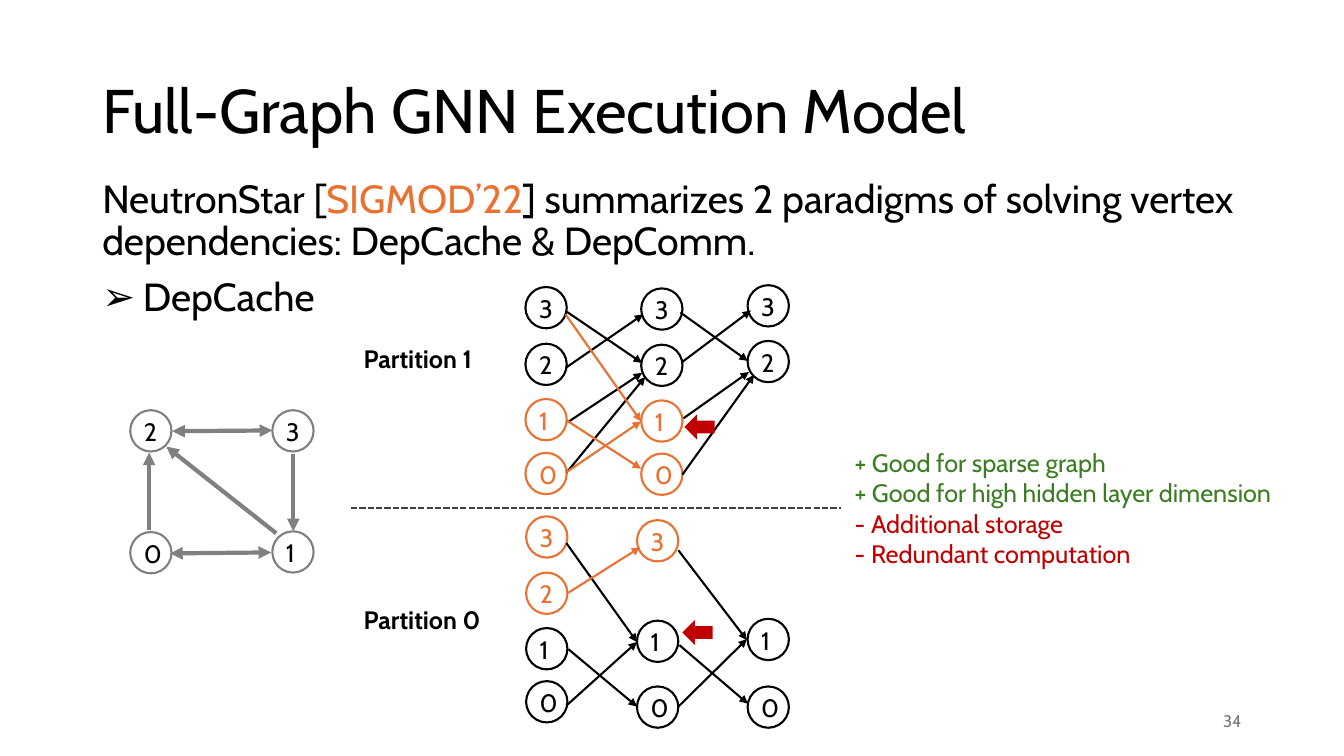
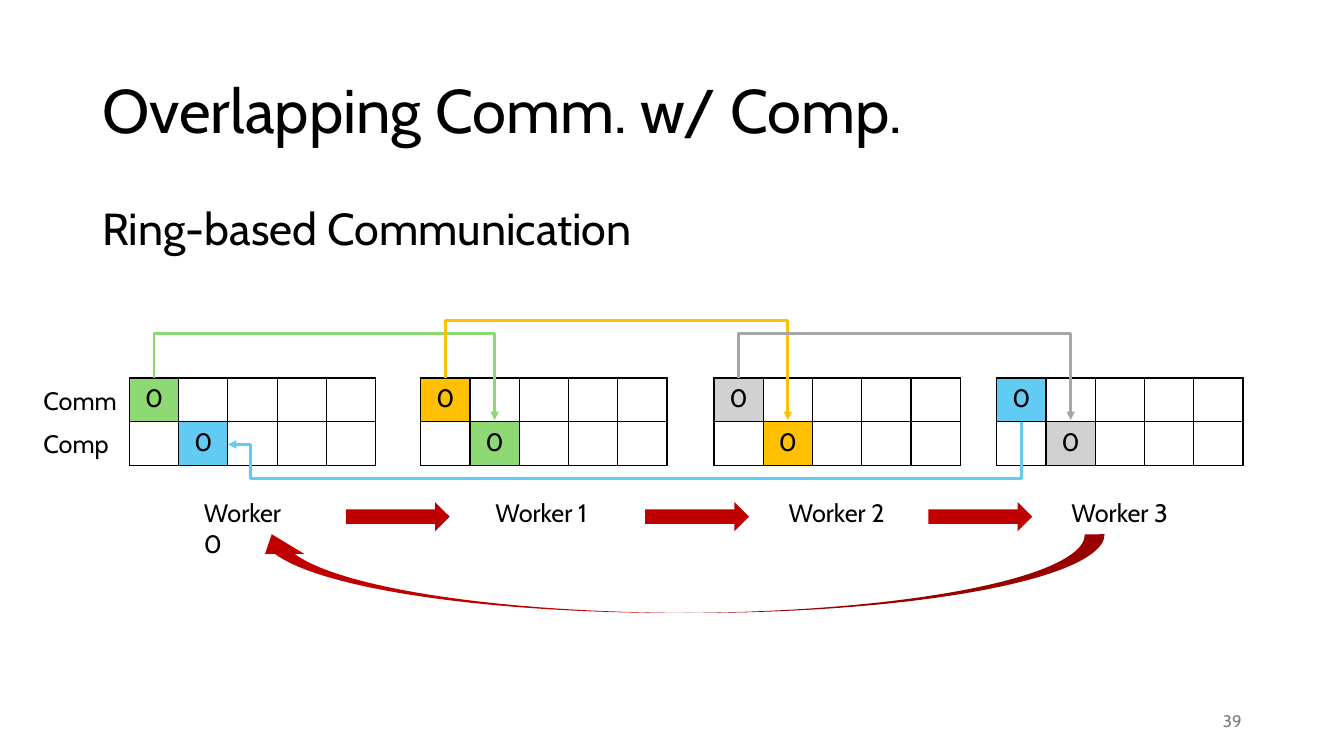
"""Build two slides on graph network execution and ring communication."""
from dataclasses import dataclass

from lxml import etree
from pptx import Presentation
from pptx.dml.color import RGBColor
from pptx.enum.dml import MSO_LINE
from pptx.enum.shapes import MSO_CONNECTOR, MSO_SHAPE
from pptx.enum.text import MSO_ANCHOR, PP_ALIGN
from pptx.oxml.ns import qn
from pptx.util import Pt

OVAL, BACK = MSO_SHAPE.OVAL, MSO_SHAPE.LEFT_ARROW
NEXT, CURVE = MSO_SHAPE.RIGHT_ARROW, MSO_SHAPE.CURVED_DOWN_ARROW
STRAIGHT, DASH = MSO_CONNECTOR.STRAIGHT, MSO_LINE.SQUARE_DOT
TOP, MIDDLE = MSO_ANCHOR.TOP, MSO_ANCHOR.MIDDLE
LEFT, MID, RIGHT = PP_ALIGN.LEFT, PP_ALIGN.CENTER, PP_ALIGN.RIGHT
FONT = "Cabin"
HEX = {
    "black": "000000", "orange": "E97132", "gray": "808080", "dark": "404040",
    "good": "3B7D23", "red": "C00000", "page": "797979", "green": "8ED973",
    "gold": "FFC000", "silver": "D1D1D1", "steel": "A6A6A6", "blue": "61CBF4",
}
SIDE, ROW, COL, GRID = 29.5, 31.3, 35.2, 270
COLS = 5


@dataclass
class Run:
    """A piece of text in one colour."""
    text: str
    color: str = "black"


@dataclass
class Stack:
    """A column of graph nodes."""
    x: float
    names: str
    tops: tuple
    hot: str = ""
    color: str = "black"


@dataclass
class Edge:
    """A set of arrows that look the same."""
    color: str
    width: float
    ends: tuple
    both: bool = False


@dataclass
class Worker:
    """A worker grid with its own and its received block."""
    x: float
    own: str
    got: str
    wire: str
    bus: float


STACKS = (
    Stack(93, "20", (293, 380), color="gray"),
    Stack(194.5, "31", (293, 379.5), color="gray"),
    Stack(375.3, "3210", (205, 245.5, 285, 323.5), "10"),
    Stack(458, "3210", (206, 246.2, 286, 324), "10"),
    Stack(534, "32", (203.7, 243.5)),
    Stack(375.8, "3210", (368.8, 409, 448.6, 486.5), "32"),
    Stack(455, "310", (371.5, 443.3, 490.3), "3"),
    Stack(534, "10", (442, 490.3)),
)
EDGES = (
    Edge("gray", 3, ((123, 308, 194.5, 307.5), (121.5, 395.3, 193.7, 394.6)), True),
    Edge("gray", 3, (
        (106.5, 378.7, 106.5, 323.3), (197.3, 380.9, 118.8, 319),
        (209.5, 324, 209.5, 379.5))),
    Edge("black", 1.5, (
        (404.6, 388, 455, 458.6), (406, 463.7, 455, 504.7),
        (405.4, 503.3, 455, 458.6), (484.6, 504.7, 533.5, 456.5),
        (485.3, 460.8, 534.2, 502.6), (484.6, 393.1, 533.5, 457.2),
        (404, 262.8, 459.4, 224.6), (404.6, 222.5, 458.6, 259.2),
        (486, 223.2, 534.2, 257.8), (487.4, 258.5, 536.4, 221.8),
        (405.4, 301.7, 458.6, 266.4), (404.6, 337.7, 460.8, 269.3),
        (488.2, 298.8, 535, 265.7), (487.4, 339.1, 538.6, 267.8))),
    Edge("orange", 1.5, (
        (406, 423.4, 457.2, 391), (404, 224.6, 457.9, 301),
        (404.6, 300.2, 457.9, 334.8), (404, 337.7, 457.9, 301))),
)
WORKERS = (
    Worker(92.4, "green", "blue", "green", 238.3),
    Worker(300.5, "gold", "green", "gold", 229),
    Worker(510, "silver", "gold", "steel", 238.3),
    Worker(712, "blue", "silver", "blue", 342),
)


def rgb(color: str) -> RGBColor:
    """Look up a colour by name."""
    return RGBColor.from_string(HEX[color])


def style(item, **values) -> None:
    """Set attributes from format values."""
    for key, value in values.items():
        setattr(item, key, value)


def write(frame, paras, size=18, bold=False, align=LEFT, lead=1.0, gap=0) -> None:
    """Fill a text frame with paragraphs of runs."""
    for num, runs in enumerate(paras):
        para = frame.paragraphs[0] if num == 0 else frame.add_paragraph()
        style(para, alignment=align, line_spacing=lead,
              space_before=Pt(gap if num else 0))
        for run in runs:
            part = para.add_run()
            part.text = run.text
            style(part.font, name=FONT, size=Pt(size), bold=bold)
            part.font.color.rgb = rgb(run.color)


def label(slide, box: tuple, paras, anchor=TOP, wrap=True, **look):
    """Add a text box and return its frame."""
    frame = slide.shapes.add_textbox(*map(Pt, box)).text_frame
    style(frame, word_wrap=wrap, vertical_anchor=anchor)
    write(frame, paras, **look)
    return frame


def bullet(para, mark: str, indent: float) -> None:
    """Give a paragraph a hanging bullet."""
    props = para._p.get_or_add_pPr()
    props.set("marL", str(Pt(indent)))
    props.set("indent", str(-Pt(indent)))
    etree.SubElement(props, qn("a:buFont")).set("typeface", "Arial")
    etree.SubElement(props, qn("a:buChar")).set("char", mark)


def tips(line, *names: str) -> None:
    """Put triangle tips on a line."""
    for name in names:
        etree.SubElement(line._get_or_add_ln(), qn(f"a:{name}")).set("type", "triangle")


def link(slide, ends: tuple, color: str, width: float):
    """Draw a straight line and return its format."""
    wire = slide.shapes.add_connector(STRAIGHT, *map(Pt, ends))
    wire.line.width = Pt(width)
    wire.line.color.rgb = rgb(color)
    etree.SubElement(wire._element.spPr, qn("a:effectLst"))
    return wire.line


def block(slide, kind, box: tuple, color: str = "red"):
    """Draw a filled shape with no outline."""
    shape = slide.shapes.add_shape(kind, *map(Pt, box))
    shape.shadow.inherit = False
    shape.fill.solid()
    shape.fill.fore_color.rgb = rgb(color)
    shape.line.fill.background()
    return shape


def node(slide, x: float, y: float, name: str, line: str, ink: str) -> None:
    """Draw a numbered ring."""
    ring = slide.shapes.add_shape(OVAL, *map(Pt, (x, y, SIDE, SIDE)))
    ring.shadow.inherit = False
    ring.fill.background()
    ring.line.width = Pt(1.5)
    ring.line.color.rgb = rgb(line)
    style(ring.text_frame, margin_left=Pt(5.4), margin_right=0, margin_top=0,
          margin_bottom=0, vertical_anchor=TOP, word_wrap=True)
    write(ring.text_frame, [[Run(name, ink)]])


def route(slide, points: list, color: str) -> None:
    """Draw a bent arrow through points."""
    spots = [(Pt(x), Pt(y)) for x, y in points]
    pen = slide.shapes.build_freeform(*spots[0])
    pen.add_line_segments(spots[1:], close=False)
    wire = pen.convert_to_shape()
    wire.shadow.inherit = False
    wire.fill.background()
    wire.line.width = Pt(2)
    wire.line.color.rgb = rgb(color)
    tips(wire.line, "tailEnd")


def border(cell) -> None:
    """Outline a cell in black."""
    props = cell._tc.get_or_add_tcPr()
    for num, side in enumerate(("lnL", "lnR", "lnT", "lnB")):
        edge = etree.Element(qn(f"a:{side}"), w=str(Pt(1)))
        fill = etree.SubElement(edge, qn("a:solidFill"))
        etree.SubElement(fill, qn("a:srgbClr")).set("val", HEX["black"])
        props.insert(num, edge)


def grid(slide, worker: Worker) -> None:
    """Draw the two-row time grid of a worker."""
    box = (worker.x, GRID, COLS * COL, 2 * ROW)
    table = slide.shapes.add_table(2, COLS, *map(Pt, box)).table
    style(table, first_row=False, horz_banding=False)
    for col in table.columns:
        col.width = Pt(COL)
    for row in table.rows:
        row.height = Pt(ROW)
    fills = {(0, 0): worker.own, (1, 1): worker.got}
    for row in range(2):
        for col in range(COLS):
            cell = table.cell(row, col)
            color = fills.get((row, col))
            if color:
                cell.fill.solid()
                cell.fill.fore_color.rgb = rgb(color)
                write(cell.text_frame, [[Run("0")]], align=MID)
            else:
                cell.fill.background()
            border(cell)


def start(deck, title: str, page: str):
    """Add a slide with its title and page number."""
    slide = deck.slides.add_slide(deck.slide_layouts[6])
    label(slide, (66, 28.8, 828, 104.4), [[Run(title)]], MIDDLE, size=44, lead=0.9)
    label(slide, (678, 500.5, 216, 28.8), [[Run(page, "page")]], MIDDLE,
          size=12, align=RIGHT)
    return slide


def model(deck) -> None:
    """Build the execution model slide."""
    slide = start(deck, "Full-Graph GNN Execution Model", "34")
    body = label(slide, (66, 124.6, 828, 141), [
        [Run("NeutronStar ["), Run("SIGMOD’22", "orange"),
         Run("] summarizes 2 paradigms of solving vertex dependencies: "
             "DepCache & DepComm.")],
        [Run("DepCache")]], size=28, lead=0.9, gap=10)
    bullet(body.paragraphs[1], "➢", 29)
    for stack in STACKS:
        for name, y in zip(stack.names, stack.tops):
            hot = name in stack.hot
            node(slide, stack.x, y, name, "orange" if hot else stack.color,
                 "orange" if hot else "black")
    for edge in EDGES:
        for ends in edge.ends:
            line = link(slide, ends, edge.color, edge.width)
            tips(line, *(("headEnd",) if edge.both else ()), "tailEnd")
    link(slide, (250.6, 363, 600.5, 363), "dark", 1.5).dash_style = DASH
    for name, y in (("Partition 1", 242), ("Partition 0", 428.4)):
        label(slide, (252.7, y, 110, 28.8), [[Run(name)]], bold=True)
    for x, y in ((487.4, 442.8), (488.9, 296)):
        block(slide, BACK, (x, y, 21.6, 18))
    label(slide, (603.4, 316, 330, 94.3), [
        [Run("+ Good for sparse graph", "good")],
        [Run("+ Good for high hidden layer dimension", "good")],
        [Run("- Additional storage", "red")],
        [Run("- Redundant computation", "red")]])


def ring(deck) -> None:
    """Build the ring communication slide."""
    slide = start(deck, "Overlapping Comm. w/ Comp.", "39")
    label(slide, (66, 144, 828, 60), [[Run("Ring-based Communication")]],
          size=32, lead=0.9)
    for name, y in (("Comm", 272), ("Comp", 302.4)):
        label(slide, (24, y, 80, 28.8), [[Run(name)]])
    for num, worker in enumerate(WORKERS):
        grid(slide, worker)
        label(slide, (worker.x + 46.2, 352, 90 if num else 80, 28.8),
              [[Run(f"Worker {num}")]])
    for x in (247, 460.8, 663.1):
        block(slide, NEXT, (x, 358.6, 74.2, 20.9))
    block(slide, CURVE, (180, 381.6, 609, 56.2)).rotation = 180
    for now, then in zip(WORKERS, WORKERS[1:]):
        x, goal = now.x + COL / 2, then.x + 1.5 * COL
        route(slide, [(x, GRID), (x, now.bus), (goal, now.bus), (goal, 300)], now.wire)
    first, last = WORKERS[0], WORKERS[-1]
    x, goal = last.x + COL / 2, first.x + 2 * COL
    route(slide, [(x, GRID + ROW), (x, last.bus), (goal + 16, last.bus),
                  (goal + 16, 317.5), (goal, 317.5)], last.wire)


def main() -> None:
    """Build and save the deck."""
    deck = Presentation()
    style(deck, slide_width=Pt(960), slide_height=Pt(540))
    model(deck)
    ring(deck)
    deck.save("out.pptx")


if __name__ == "__main__":
    main()
